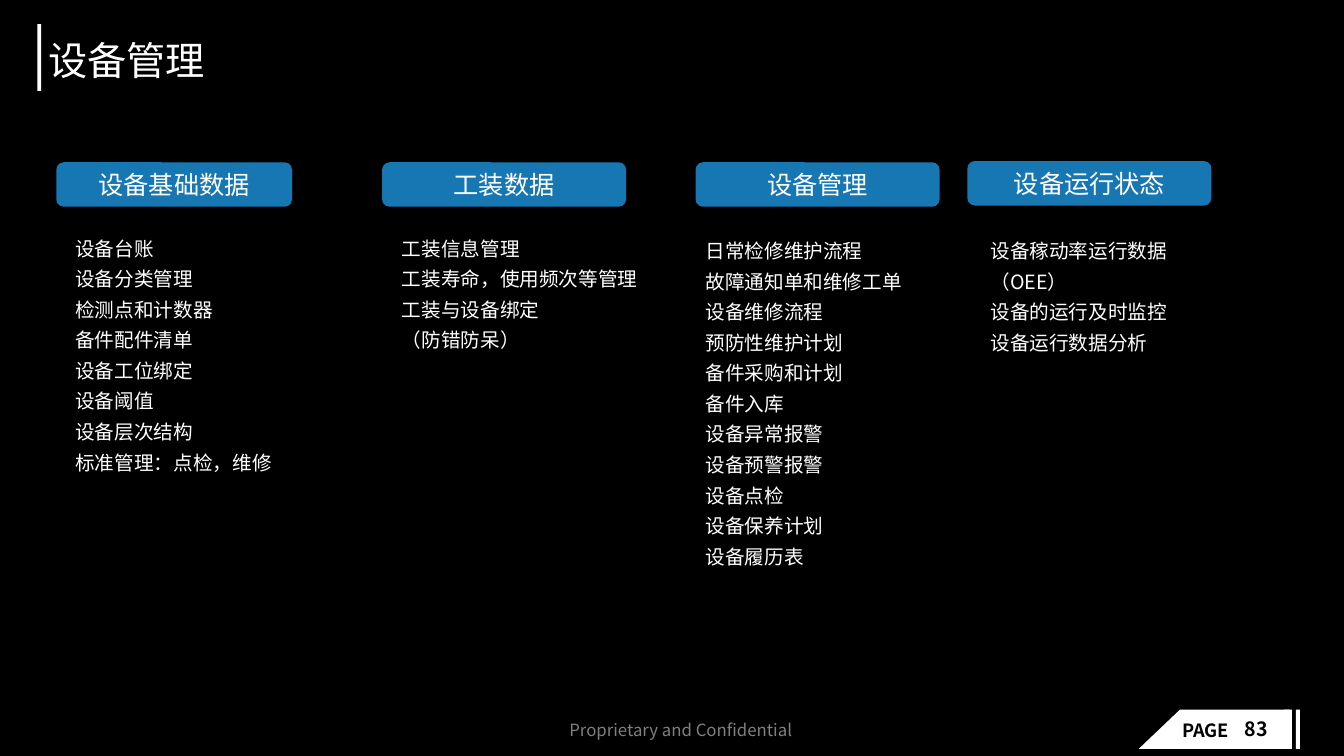
from lxml import etree
from pptx import Presentation
from pptx.dml.color import RGBColor
from pptx.enum.shapes import MSO_SHAPE
from pptx.enum.text import MSO_ANCHOR, MSO_AUTO_SIZE, PP_ALIGN
from pptx.oxml.ns import qn
from pptx.util import Cm, Pt

RECT = MSO_SHAPE.RECTANGLE
ROUNDED = MSO_SHAPE.ROUNDED_RECTANGLE
TRIANGLE = MSO_SHAPE.RIGHT_TRIANGLE
MIDDLE = MSO_ANCHOR.MIDDLE
NO_FIT = MSO_AUTO_SIZE.NONE
LEFT, CENTER = PP_ALIGN.LEFT, PP_ALIGN.CENTER

FONT = "Noto Sans CJK SC"
WHITE, BLACK, BLUE, GRAY = "FFFFFF", "000000", "1677B3", "808080"

COLUMNS = [
    ("设备基础数据", (1.42, 4.09, 5.94), (1.65, 5.66, 5.49),
     ["设备台账", "设备分类管理", "检测点和计数器", "备件配件清单", "设备工位绑定",
      "设备阈值", "设备层次结构", "标准管理：点检，维修"]),
    ("工装数据", (9.63, 4.09, 6.15), (9.88, 5.66, 6.5),
     ["工装信息管理", "工装寿命，使用频次等管理", "工装与设备绑定", "（防错防呆）"]),
    ("设备管理", (17.53, 4.09, 6.15), (17.53, 5.72, 5.49),
     ["日常检修维护流程", "故障通知单和维修工单", "设备维修流程", "预防性维护计划",
      "备件采购和计划", "备件入库", "设备异常报警", "设备预警报警", "设备点检",
      "设备保养计划", "设备履历表"]),
    ("设备运行状态", (24.38, 4.06, 6.15), (24.71, 5.72, 7.06),
     ["设备稼动率运行数据\n（OEE）", "设备的运行及时监控", "设备运行数据分析"]),
]


def rgb(value):
    return RGBColor.from_string(value)


def add_run(p, text, size, color, bold=False):
    r = p.add_run()
    r.text = text
    r.font.size = Pt(size)
    r.font.bold = bold
    r.font.color.rgb = rgb(color)
    r.font.name = FONT
    etree.SubElement(r.font._element, qn("a:ea"), typeface=FONT)


def add_box(s, kind, left, top, width, height, color):
    sp = s.shapes.add_shape(kind, Cm(left), Cm(top), Cm(width), Cm(height))
    sp.shadow.inherit = False
    sp.fill.solid()
    sp.fill.fore_color.rgb = rgb(color)
    sp.line.fill.background()
    return sp


def add_text(s, left, top, width, height, lines, size, color, bold=False, spacing=1.0):
    sp = s.shapes.add_textbox(Cm(left), Cm(top), Cm(width), Cm(height))
    tf = sp.text_frame
    tf.word_wrap = True
    for i, line in enumerate(lines):
        p = tf.add_paragraph() if i else tf.paragraphs[0]
        p.line_spacing = spacing
        for j, part in enumerate(line.split("\n")):
            if j:
                p.add_line_break()
            add_run(p, part, size, color, bold)


def set_title(s, text):
    add_box(s, RECT, 0.94, 0.61, 0.1, 1.68, WHITE)
    sp = s.shapes.title
    sp.left, sp.top, sp.width, sp.height = Cm(0.97), Cm(0.64), Cm(20.35), Cm(1.73)
    tf = sp.text_frame
    tf.auto_size = NO_FIT
    tf.vertical_anchor = MIDDLE
    tf.margin_left, tf.margin_top = Cm(0.25), Cm(0.13)
    tf.margin_right, tf.margin_bottom = Cm(0.3), Cm(0)
    p = tf.paragraphs[0]
    p.alignment = LEFT
    p.line_spacing = 0.9
    add_run(p, text, 28, WHITE)


def add_column(s, heading, heading_at, list_at, items):
    sp = add_box(s, ROUNDED, *heading_at, 1.12, BLUE)
    tf = sp.text_frame
    tf.vertical_anchor = MIDDLE
    p = tf.paragraphs[0]
    p.alignment = CENTER
    add_run(p, heading, 18, WHITE)
    rows = sum(item.count("\n") + 1 for item in items)
    add_text(s, *list_at, 0.25 + 0.78 * rows, items, 14, WHITE, spacing=1.3)


def add_footer(s, page):
    for left, width in [(29.74, 2.77), (32.36, 0.2), (32.66, 0.1)]:
        add_box(s, RECT, left, 17.88, width, 0.99, WHITE)
    corner = add_box(s, TRIANGLE, 28.7, 17.88, 1.04, 0.99, WHITE)
    corner._element.spPr.find(qn("a:xfrm")).set("flipH", "1")
    add_text(s, 29.54, 18.01, 1.85, 0.81, ["PAGE"], 13, BLACK, bold=True)
    add_text(s, 31.12, 18.01, 1.47, 0.81, [page], 14, BLACK, bold=True, spacing=0.9)
    add_text(s, 14.1, 18.01, 6.5, 0.76, ["Proprietary and Confidential"], 12, GRAY)


def main():
    prs = Presentation()
    prs.slide_width, prs.slide_height = Cm(33.87), Cm(19.05)
    s = prs.slides.add_slide(prs.slide_layouts[5])
    s.background.fill.solid()
    s.background.fill.fore_color.rgb = rgb(BLACK)
    set_title(s, "设备管理")
    for column in COLUMNS:
        add_column(s, *column)
    add_footer(s, "83")
    prs.save("out.pptx")


if __name__ == "__main__":
    main()
